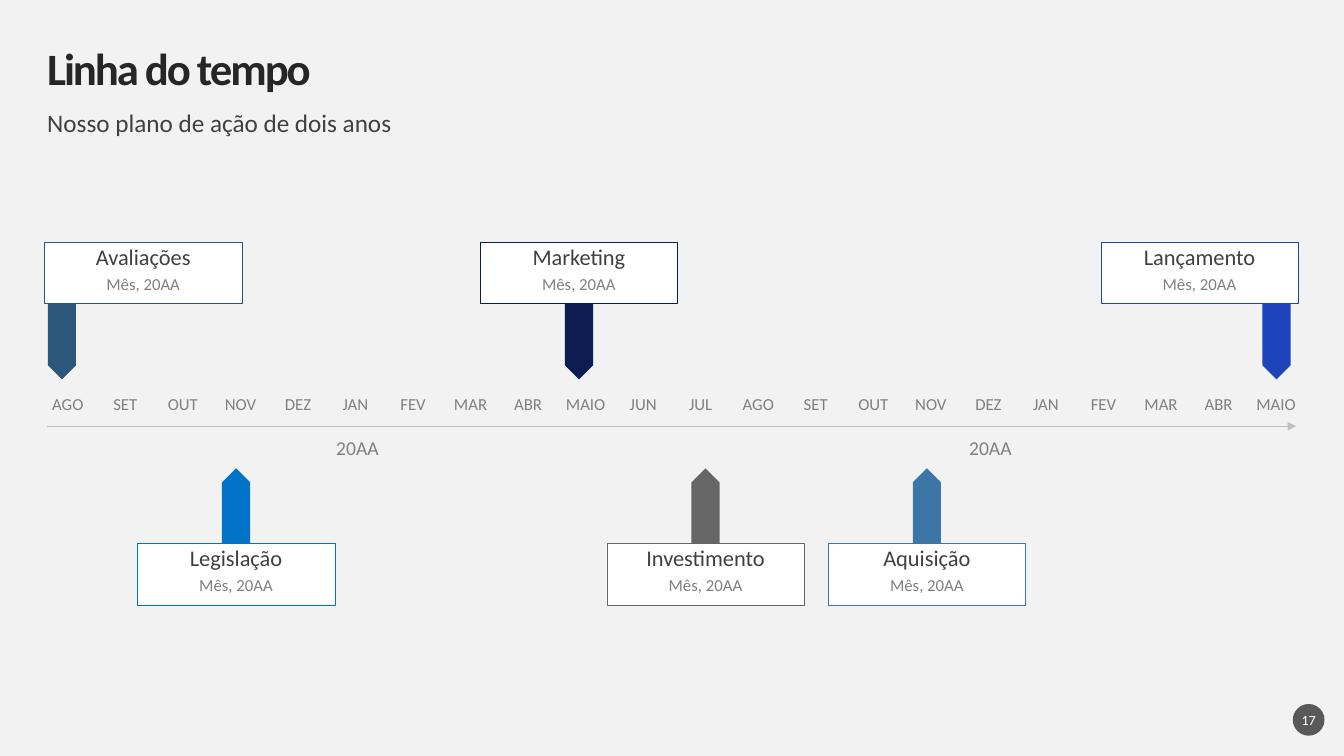
from dataclasses import dataclass

import pptx
import pptx.dml.color
import pptx.enum.shapes
import pptx.enum.text
import pptx.oxml
import pptx.oxml.ns
import pptx.util

Cm = pptx.util.Cm
SHAPE = pptx.enum.shapes.MSO_SHAPE
ALIGN = pptx.enum.text.PP_ALIGN
ANCHOR = pptx.enum.text.MSO_ANCHOR

COLORS = {
    "background": "F2F2F2", "white": "FFFFFF", "title": "262626",
    "text": "404040", "muted": "808080", "axis": "BFBFBF", "badge": "595959",
    "steel": "2C567A", "azure": "0072C7", "navy": "0D1D51",
    "gray": "666666", "sky": "3C76A6", "royal": "1E44BC",
}
FONT = "Calibri"

MARGIN, CONTENT_W = 1.19, 31.47
MONTHS = "AGO SET OUT NOV DEZ JAN FEV MAR ABR MAIO JUN JUL".split()
MONTH_COUNT, MONTH_STEP, MONTH_W = 22, 1.45, 1.04
YEAR_COLUMNS = (5, 16)
AXIS_Y = 10.74
CARD_W, CARD_H = 4.98, 1.55
PIN_LENGTH, PIN_W = 1.9, 0.71


@dataclass(frozen=True)
class Milestone:
    name: str
    color: str
    left: float
    above: bool
    pin_shift: float = 0.0  # pin centre relative to card centre


MILESTONES = [
    Milestone("Avaliações", "steel", 1.12, True, -2.05),
    Milestone("Legislação", "azure", 3.46, False),
    Milestone("Marketing", "navy", 12.1, True),
    Milestone("Investimento", "gray", 15.29, False),
    Milestone("Aquisição", "sky", 20.87, False),
    Milestone("Lançamento", "royal", 27.74, True, 1.94),
]


def rgb(name: str) -> pptx.dml.color.RGBColor:
    return pptx.dml.color.RGBColor.from_string(COLORS[name])


def write(sp, text: str, *, size: float, color: str = "muted", bold: bool = False,
          align=ALIGN.CENTER, anchor=ANCHOR.TOP, top_inset: float = 0,
          line_spacing: float = 0.9, before: float = 10, tracking: float = 0) -> None:
    tf = sp.text_frame
    tf.word_wrap = True
    tf.vertical_anchor = anchor
    tf.margin_left = tf.margin_right = tf.margin_bottom = 0
    tf.margin_top = Cm(top_inset)
    p = tf.paragraphs[0]
    p.alignment = align
    p.line_spacing = line_spacing
    p.space_before = pptx.util.Pt(before)
    r = p.add_run()
    r.text = text
    r.font.name = FONT
    r.font.size = pptx.util.Pt(size)
    r.font.bold = bold
    r.font.color.rgb = rgb(color)
    if tracking:
        r.font._element.set("spc", str(round(tracking * 100)))


def add_text(s, text: str, left: float, top: float, width: float, height: float, **fmt) -> None:
    write(s.shapes.add_textbox(Cm(left), Cm(top), Cm(width), Cm(height)), text, **fmt)


def add_filled(s, kind, left: float, top: float, width: float, height: float,
               fill: str, line: str = ""):
    sp = s.shapes.add_shape(kind, Cm(left), Cm(top), Cm(width), Cm(height))
    sp.shadow.inherit = False
    sp.fill.solid()
    sp.fill.fore_color.rgb = rgb(fill)
    if line:
        sp.line.color.rgb = rgb(line)
        sp.line.width = pptx.util.Pt(0.25)
    else:
        sp.line.fill.background()
    return sp


def add_axis(s) -> None:
    axis = s.shapes.add_connector(pptx.enum.shapes.MSO_CONNECTOR.STRAIGHT, Cm(MARGIN),
                                  Cm(AXIS_Y), Cm(MARGIN + CONTENT_W), Cm(AXIS_Y))
    axis.line.color.rgb = rgb("axis")
    axis.line.width = pptx.util.Pt(0.5)
    ns = pptx.oxml.ns.nsdecls("a")
    axis.line._get_or_add_ln().append(
        pptx.oxml.parse_xml(f'<a:tailEnd {ns} type="triangle"/>'))
    axis._element.spPr.append(pptx.oxml.parse_xml(f"<a:effectLst {ns}/>"))


def add_months_and_years(s) -> None:
    for i in range(MONTH_COUNT):
        left = MARGIN + i * MONTH_STEP
        add_text(s, MONTHS[i % len(MONTHS)], left, 9.98, MONTH_W, 0.56, size=12)
        if i in YEAR_COLUMNS:
            add_text(s, "20AA", left, 11.05, 1.14, 0.56, size=14, anchor=ANCHOR.MIDDLE)


def add_milestone(s, m: Milestone) -> None:
    """Draw the pin that points at the axis, then its card and date."""
    card_top, pin_y, rotation = (6.1, 8.61, 90) if m.above else (13.69, 12.75, 270)
    pin_x = m.left + CARD_W / 2 + m.pin_shift
    pin = add_filled(s, SHAPE.PENTAGON, pin_x - PIN_LENGTH / 2, pin_y - PIN_W / 2,
                     PIN_LENGTH, PIN_W, m.color)
    pin.rotation = rotation
    card = add_filled(s, SHAPE.RECTANGLE, m.left, card_top, CARD_W, CARD_H, "white", m.color)
    write(card, m.name, size=16, color="text", top_inset=0.1)
    add_text(s, "Mês, 20AA", m.left + 0.14, card_top + 0.86, 4.7, 0.64, size=12)


def main() -> None:
    prs = pptx.Presentation()
    prs.slide_width, prs.slide_height = Cm(33.87), Cm(19.05)
    s = prs.slides.add_slide(prs.slide_layouts[6])
    s.background.fill.solid()
    s.background.fill.fore_color.rgb = rgb("background")

    add_text(s, "Linha do tempo", MARGIN, 1.19, CONTENT_W, 1.19, size=32, color="title",
             bold=True, align=ALIGN.LEFT, anchor=ANCHOR.MIDDLE, before=0, tracking=-1.5)
    add_text(s, "Nosso plano de ação de dois anos", MARGIN, 2.79, CONTENT_W, 0.71,
             size=18, color="text", align=ALIGN.LEFT)
    add_axis(s)
    add_months_and_years(s)
    for m in MILESTONES:
        add_milestone(s, m)
    badge = add_filled(s, SHAPE.OVAL, 32.58, 17.74, 0.8, 0.8, "badge")
    write(badge, "17", size=10, color="white", anchor=ANCHOR.MIDDLE, line_spacing=1.0, before=0)

    prs.save("out.pptx")


if __name__ == "__main__":
    main()
